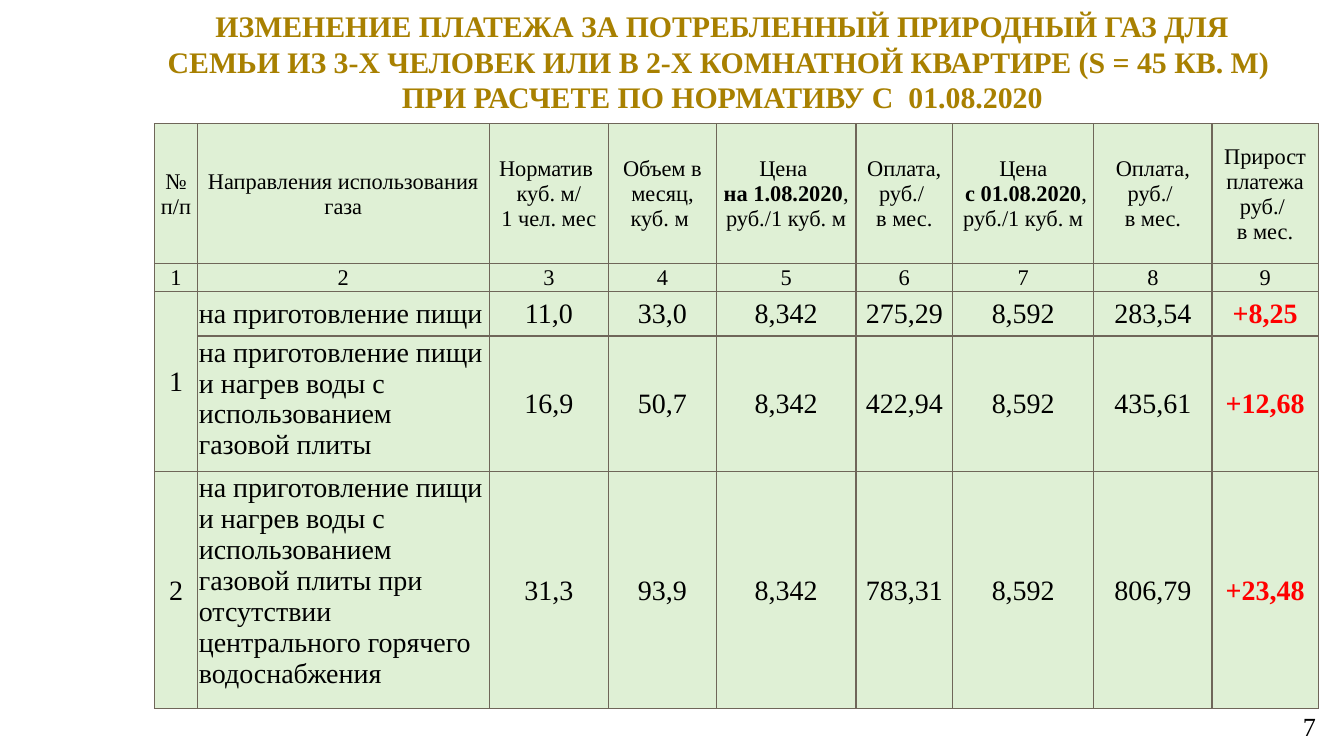
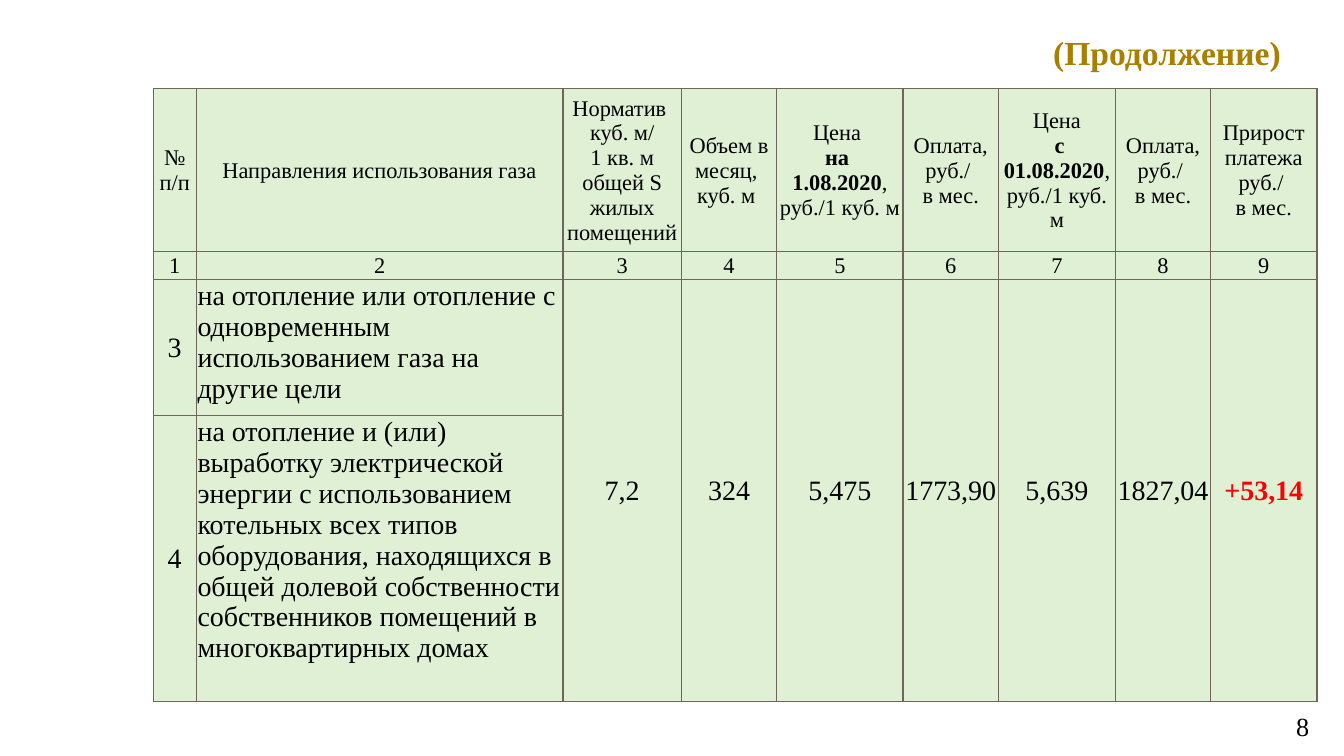
from copy import deepcopy

from lxml import etree
from pptx import Presentation
from pptx.dml.color import RGBColor
from pptx.enum.text import MSO_ANCHOR, MSO_AUTO_SIZE, PP_ALIGN
from pptx.oxml.ns import qn
from pptx.util import Inches, Pt

LEFT, CENTER, RIGHT = PP_ALIGN.LEFT, PP_ALIGN.CENTER, PP_ALIGN.RIGHT
TOP, MIDDLE = MSO_ANCHOR.TOP, MSO_ANCHOR.MIDDLE
NO_AUTOFIT = MSO_AUTO_SIZE.NONE

FONT = "Times New Roman"
GOLD, BLACK, RED = "A88000", "000000", "FF0000"
CELL_FILL, BORDER = "DFF0D5", "6F6659"
PLAIN_TABLE_STYLE = "{2D5ABB26-0587-4C30-8999-92F81FD0307C}"

# Header wording shared by both tables: \n starts a paragraph,
# \v breaks a line, ** switches bold on and off
NUMBER = "№ п/п"
PURPOSE = "Направления использования газа"
PRICE_AFTER = "Цена\n** с 01.08.2020**, руб./1 куб. м"
PAYMENT = "Оплата, руб./ \vв мес."
INCREASE = "Прирост платежа руб./ \vв мес."
COLUMN_NUMBERS = [str(n) for n in range(1, 10)]

# None continues the cell above
NORM_PER_PERSON = [
    [NUMBER, PURPOSE, "Норматив \vкуб. м/\v1 чел. мес",
     "Объем в месяц, куб. м ",
     "Цена \v**на 1.08.2020**, руб./1 куб. м",
     PAYMENT, PRICE_AFTER, PAYMENT, INCREASE],
    COLUMN_NUMBERS,
    ["1", "на приготовление пищи",
     "11,0", "33,0", "8,342", "275,29", "8,592", "283,54", "+8,25"],
    [None, "на приготовление пищи и нагрев воды с использованием "
     "газовой плиты",
     "16,9", "50,7", "8,342", "422,94", "8,592", "435,61", "+12,68"],
    ["2", "на приготовление пищи и нагрев воды с использованием "
     "газовой плиты при отсутствии центрального горячего водоснабжения",
     "31,3", "93,9", "8,342", "783,31", "8,592", "806,79", "+23,48"],
]
NORM_PER_AREA = [
    [NUMBER, PURPOSE,
     "Норматив \vкуб. м/\n1 кв. м общей S жилых помещений",
     "Объем в месяц, \vкуб. м ",
     "Цена \v**на \v1.08.2020**, руб./1 куб. м",
     PAYMENT, PRICE_AFTER, PAYMENT, INCREASE],
    COLUMN_NUMBERS,
    ["3", "на отопление или отопление с одновременным использованием "
     "газа на другие цели",
     "7,2", "324", "5,475", "1773,90", "5,639", "1827,04", "+53,14"],
    ["4", "на отопление и (или) выработку электрической энергии с "
     "использованием котельных всех типов оборудования, находящихся в "
     "общей долевой собственности собственников помещений в "
     "многоквартирных домах"] + [None] * 7,
]


def rgb(color):
    return RGBColor.from_string(color)


def set_font(font, size, color, bold):
    font.name, font.size = FONT, Pt(size)
    font.bold, font.color.rgb = bold, rgb(color)


def fill_text(tf, text, size, color=BLACK, bold=False, align=CENTER):
    """Write text into a frame, following the \\n, \\v and ** marks."""
    for i, line in enumerate(text.split("\n")):
        p = tf.paragraphs[0] if i == 0 else tf.add_paragraph()
        p.alignment = align
        set_font(p.font, size, color, bold)
        for j, part in enumerate(line.split("**")):
            for k, piece in enumerate(part.split("\v")):
                if k:
                    p.add_line_break()
                if piece:
                    r = p.add_run()
                    r.text = piece
                    set_font(r.font, size, color, bold or j % 2 == 1)
        # Line breaks take the run font, so that row heights fit
        for br in p._p.findall(qn("a:br")):
            br.append(deepcopy(p.runs[0]._r.rPr))


def add_title(s, text, size, height, align):
    sp = s.shapes.title
    sp.left, sp.top = Inches(1.12), Inches(0.16)
    sp.width, sp.height = Inches(8.51), Inches(height)
    tf = sp.text_frame
    tf.word_wrap, tf.auto_size = True, NO_AUTOFIT
    tf.vertical_anchor = MIDDLE
    fill_text(tf, text, size, GOLD, True, align)


def add_page_number(s, number, left):
    sp = s.shapes.add_textbox(Inches(left), Inches(5.25),
                              Inches(0.42), Inches(0.3))
    tf = sp.text_frame
    tf.word_wrap = True
    tf.vertical_anchor = MIDDLE
    fill_text(tf, str(number), 14, align=RIGHT)


def set_borders(cell):
    tc_pr = cell._tc.get_or_add_tcPr()
    for side in ("a:lnL", "a:lnR", "a:lnT", "a:lnB"):
        ln = etree.SubElement(tc_pr, qn(side), w=str(Pt(0.75)))
        fill = etree.SubElement(ln, qn("a:solidFill"))
        etree.SubElement(fill, qn("a:srgbClr"), val=BORDER)


def style_cell(cell):
    set_borders(cell)
    cell.fill.solid()
    cell.fill.fore_color.rgb = rgb(CELL_FILL)
    cell.margin_left = cell.margin_right = cell.margin_top = Inches(0.01)
    cell.margin_bottom = 0
    cell.vertical_anchor = MIDDLE


def add_tariff_table(s, rows, left, top, widths, heights):
    table = s.shapes.add_table(
        len(rows), len(widths), Inches(left), Inches(top),
        Inches(sum(widths)), Inches(sum(heights))).table
    table.first_row = table.horz_banding = False
    table._tbl.tblPr.find(qn("a:tableStyleId")).text = PLAIN_TABLE_STYLE
    for column, width in zip(table.columns, widths):
        column.width = Inches(width)
    for row, height in zip(table.rows, heights):
        row.height = Inches(height)

    for i, row in enumerate(rows):
        for j, text in enumerate(row):
            cell = table.cell(i, j)
            style_cell(cell)
            if text is None:
                table.cell(i - 1, j).merge(cell)
                continue
            is_body = i > 1
            is_purpose = is_body and j == 1
            is_increase = text.startswith("+")
            # Long descriptions start at the top of their row
            if is_purpose and len(text) > 30:
                cell.vertical_anchor = TOP
            fill_text(cell.text_frame, text, 15 if is_body else 12,
                      RED if is_increase else BLACK, is_increase,
                      LEFT if is_purpose else CENTER)


def main():
    prs = Presentation()
    prs.slide_width = Inches(10)
    prs.slide_height = prs.slide_width * 9 // 16
    title_only = prs.slide_layouts[5]

    # Slide 1: payment by norm per person
    s = prs.slides.add_slide(title_only)
    add_page_number(s, 7, 9.47)
    add_title(s, "ИЗМЕНЕНИЕ ПЛАТЕЖА ЗА ПОТРЕБЛЕННЫЙ ПРИРОДНЫЙ ГАЗ ДЛЯ "
              "СЕМЬИ ИЗ 3-Х ЧЕЛОВЕК ИЛИ В 2-Х КОМНАТНОЙ КВАРТИРЕ "
              "(S = 45 КВ. М) \nПРИ РАСЧЕТЕ ПО НОРМАТИВУ С  01.08.2020",
              16, 0.59, CENTER)
    add_tariff_table(s, NORM_PER_PERSON, 1.15, 0.92,
                     [0.32, 2.17, 0.89, 0.8, 1.04, 0.72, 1.05, 0.88, 0.79],
                     [1.04, 0.21, 0.33, 1.01, 1.66])

    # Slide 2: payment by norm per square metre
    s = prs.slides.add_slide(title_only)
    add_page_number(s, 8, 9.42)
    add_title(s, "(Продолжение)", 18, 0.46, RIGHT)
    add_tariff_table(s, NORM_PER_AREA, 1.14, 0.66,
                     [0.32, 2.73, 0.88, 0.71, 0.94, 0.71, 0.87, 0.71, 0.79],
                     [1.15, 0.2, 0.96, 2.13])

    prs.save("out.pptx")


if __name__ == "__main__":
    main()
